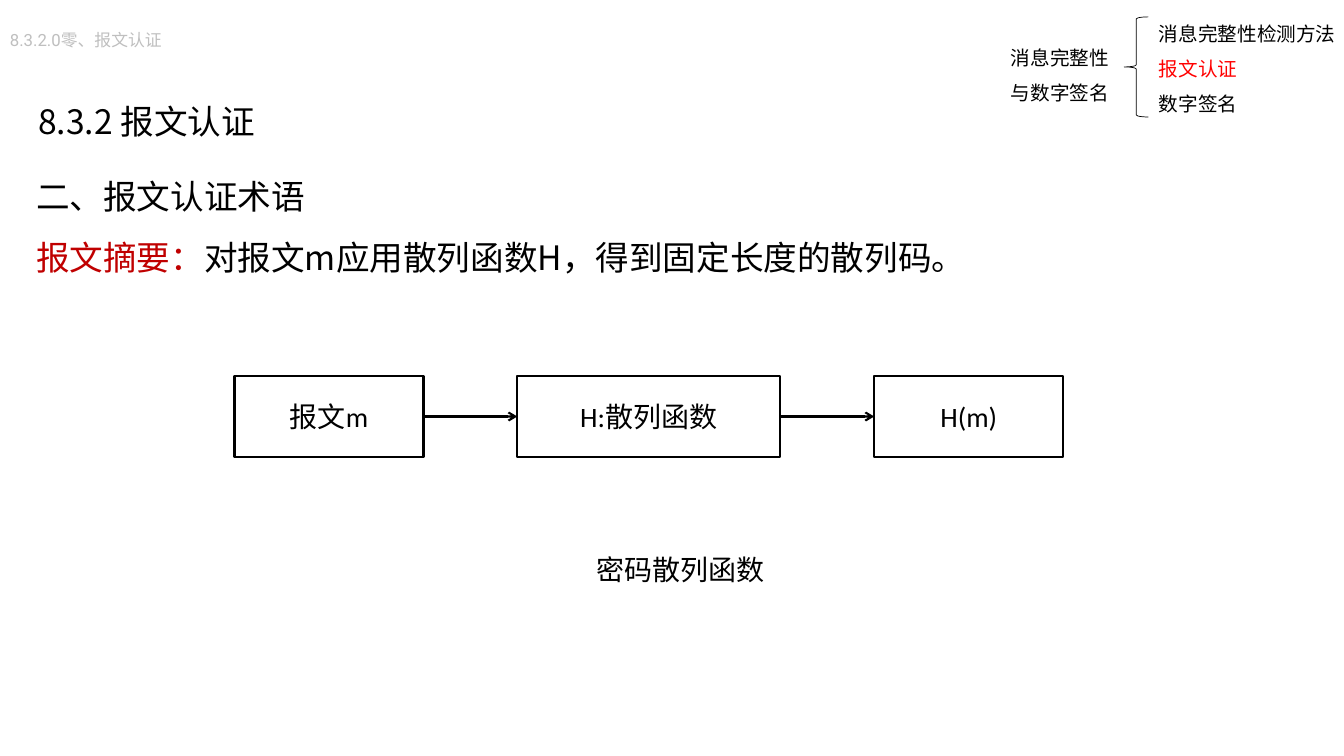
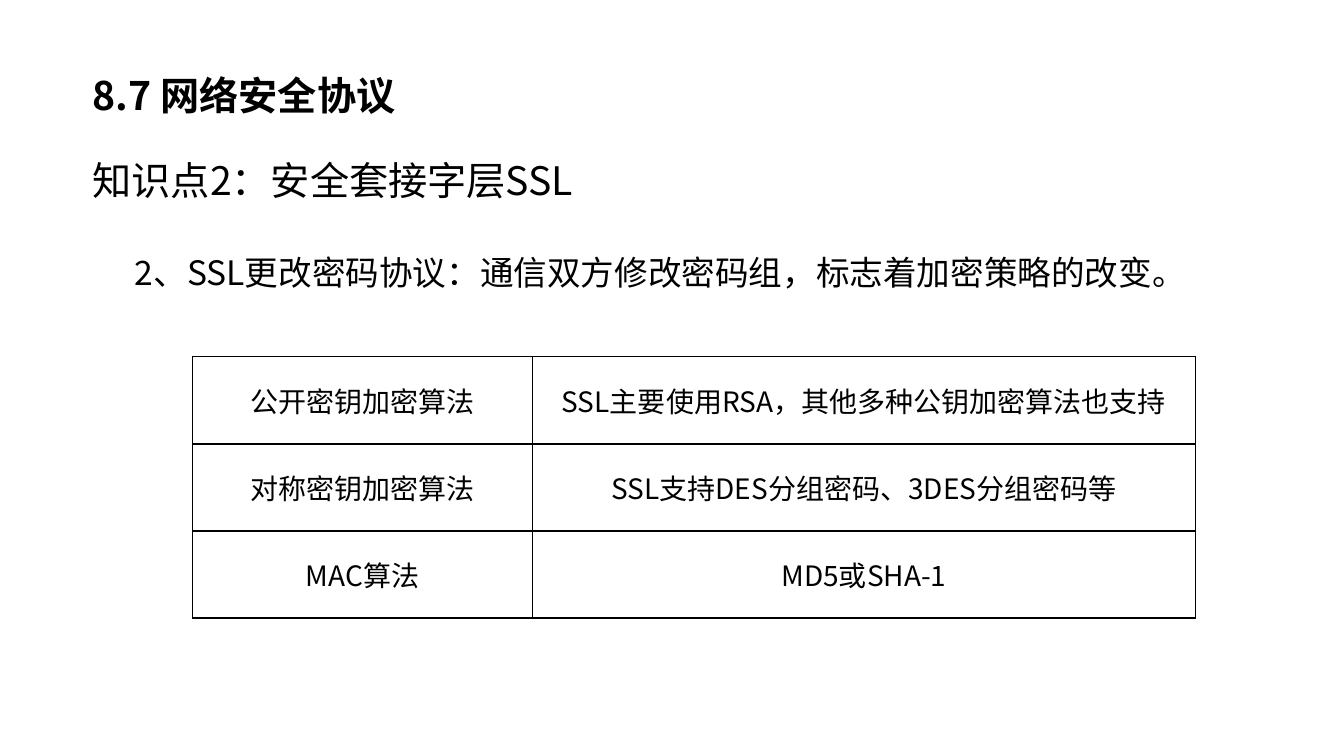
from lxml.etree import SubElement
from pptx import Presentation
from pptx.dml.color import RGBColor
from pptx.enum.shapes import MSO_CONNECTOR as Connector, MSO_SHAPE as Shape
from pptx.enum.text import MSO_ANCHOR as Anchor, MSO_AUTO_SIZE as AutoSize, PP_ALIGN as Align
from pptx.oxml import parse_xml
from pptx.oxml.ns import nsdecls, qn
from pptx.util import Pt

BLACK, GREY, RED, DARK_RED = "000000", "BFBFBF", "FF0000", "C00000"
CJK, LATIN, SMALL = "Noto Sans CJK SC", "Calibri", "Roboto"
TITLE_ONLY = 5
TITLE_INSETS = (8.64, 4.32)
PLAIN_INSETS = (7.2, 3.6)


def color(hex_code):
    return RGBColor.from_string(hex_code)


def points(values):
    return [Pt(value) for value in values]


# ---- Text ----
def style_para(para, size, font=CJK, ink=BLACK, bold=False, align=Align.LEFT, spacing=None):
    para.alignment = align
    if spacing:
        para.line_spacing = spacing
    para.font.size = Pt(size)
    para.font.bold = bold
    para.font.color.rgb = color(ink)
    para.font.name = font
    latin = para.font._element.find(qn("a:latin"))
    latin.addnext(parse_xml(f'<a:ea {nsdecls("a")} typeface="{CJK}"/>'))


def fill_frame(frame, lines, size, anchor=Anchor.TOP, insets=PLAIN_INSETS, **style):
    """Each line is a string or a list of (text, colour) spans."""
    frame.word_wrap = True
    frame.auto_size = AutoSize.NONE
    frame.vertical_anchor = anchor
    frame.margin_left = frame.margin_right = Pt(insets[0])
    frame.margin_top = frame.margin_bottom = Pt(insets[1])
    for index, line in enumerate(lines):
        para = frame.paragraphs[0] if index == 0 else frame.add_paragraph()
        if isinstance(line, str):
            para.add_run().text = line
        else:
            for text, ink in line:
                span = para.add_run()
                span.text = text
                span.font.color.rgb = color(ink)
        style_para(para, size, **style)


def add_text(page, box, lines, size, **style):
    fill_frame(page.shapes.add_textbox(*points(box)).text_frame, lines, size, **style)


def add_title_page(deck, title, box, size, **style):
    page = deck.slides.add_slide(deck.slide_layouts[TITLE_ONLY])
    holder = page.shapes.title
    holder.left, holder.top, holder.width, holder.height = points(box)
    fill_frame(holder.text_frame, [title], size, insets=TITLE_INSETS, **style)
    return page


# ---- Shapes ----
def add_outline(page, kind, box, weight):
    shape = page.shapes.add_shape(kind, *points(box))
    shape.shadow.inherit = False
    shape.fill.background()
    shape.line.color.rgb = color(BLACK)
    shape.line.width = Pt(weight)
    return shape


def add_arrow(page, source, target):
    arrow = page.shapes.add_connector(Connector.STRAIGHT, 0, 0, 0, 0)
    arrow.begin_connect(source, 3)
    arrow.end_connect(target, 1)
    arrow.line.color.rgb = color(BLACK)
    arrow.line.width = Pt(1.5)
    SubElement(arrow.line._get_or_add_ln(), qn("a:tailEnd"), type="arrow")
    SubElement(arrow._element.spPr, qn("a:effectLst"))


def add_outline_map(page, box, topic, branches):
    """Topic on the left, a brace, and its branches on the right."""
    left, top, width, height = box
    add_text(page, (left, top + 17.25, 88, 58), topic, 14, align=Align.JUSTIFY, spacing=1.5)
    add_outline(page, Shape.LEFT_BRACE, (left + 88, top + 8.5, 17.25, 71.5), 0.5)
    add_text(page, (left + 105.75, top, width - 105.75, height), branches, 14,
             align=Align.JUSTIFY, spacing=1.5)


def add_flow(page, box, steps, gap, caption):
    """Steps are (text, width) boxes joined by arrows, with a caption below."""
    left, top, height = box
    previous = None
    for text, width in steps:
        step = add_outline(page, Shape.RECTANGLE, (left, top, width, height), 1.5)
        fill_frame(step.text_frame, [text], 20, anchor=Anchor.MIDDLE,
                   font=LATIN, align=Align.CENTER)
        if previous is not None:
            add_arrow(page, previous, step)
        previous = step
        left += width + gap
    add_text(page, (box[0] + 251.25, top + 122.5, 205, 32), [caption], 20, font=LATIN)


# ---- Table ----
def border_cell(cell):
    properties = cell._tc.get_or_add_tcPr()
    for index, side in enumerate(("lnL", "lnR", "lnT", "lnB")):
        properties.insert(index, parse_xml(
            f'<a:{side} {nsdecls("a")} w="{Pt(1)}"><a:solidFill>'
            f'<a:srgbClr val="{BLACK}"/></a:solidFill></a:{side}>'))


def add_grid(page, left, top, widths, row_height, rows):
    frame = page.shapes.add_table(len(rows), len(widths), *points(
        (left, top, sum(widths), row_height * len(rows))))
    table = frame.table
    table.first_row = table.horz_banding = False
    for column, width in zip(table.columns, widths):
        column.width = Pt(width)
    for row, texts in zip(table.rows, rows):
        row.height = Pt(row_height)
        for cell, text in zip(row.cells, texts):
            cell.fill.background()
            border_cell(cell)
            cell.vertical_anchor = Anchor.MIDDLE
            para = cell.text_frame.paragraphs[0]
            para.add_run().text = text
            style_para(para, 20, align=Align.CENTER)


# ---- Slides ----
def build_digest_page(deck):
    page = add_title_page(deck, "8.3.2 报文认证", (18.75, 41.75, 211, 75), 24,
                          anchor=Anchor.MIDDLE, spacing=1.5)
    add_text(page, (0, 18, 124.5, 36), ["8.3.2.0零、报文认证"], 12, font=SMALL, ink=GREY)
    add_outline_map(page, (715, 3.6, 257.75, 83.5), ["消息完整性", "与数字签名"],
                    ["消息完整性检测方法", [("报文认证", RED)], "数字签名"])
    add_text(page, (18.75, 108, 896, 94), [
        "二、报文认证术语",
        [("报文摘要：", DARK_RED), ("对报文m应用散列函数H，得到固定长度的散列码。", BLACK)],
    ], 24, spacing=1.5)
    add_flow(page, (167.5, 268.5, 58),
             [("报文m", 135), ("H:散列函数", 188), ("H(m)", 135)], 67, "密码散列函数")


def build_protocol_page(deck):
    page = add_title_page(deck, "8.7 网络安全协议", (57.6, 46.8, 695, 42.5), 28, bold=True)
    add_text(page, (57.6, 82.8, 875.5, 75), ["知识点2：安全套接字层SSL"], 28,
             anchor=Anchor.MIDDLE, insets=TITLE_INSETS, spacing=1.5)
    add_text(page, (89.3, 168.5, 788, 41),
             ["2、SSL更改密码协议：通信双方修改密码组，标志着加密策略的改变。"], 24,
             spacing=Pt(37))
    add_grid(page, 137.5, 254.9, (242.75, 473.75), 62.2, [
        ("公开密钥加密算法", "SSL主要使用RSA，其他多种公钥加密算法也支持"),
        ("对称密钥加密算法", "SSL支持DES分组密码、3DES分组密码等"),
        ("MAC算法", "MD5或SHA-1"),
    ])


def main():
    deck = Presentation()
    deck.slide_width, deck.slide_height = Pt(960), Pt(540)
    build_digest_page(deck)
    build_protocol_page(deck)
    deck.save("out.pptx")


if __name__ == "__main__":
    main()
